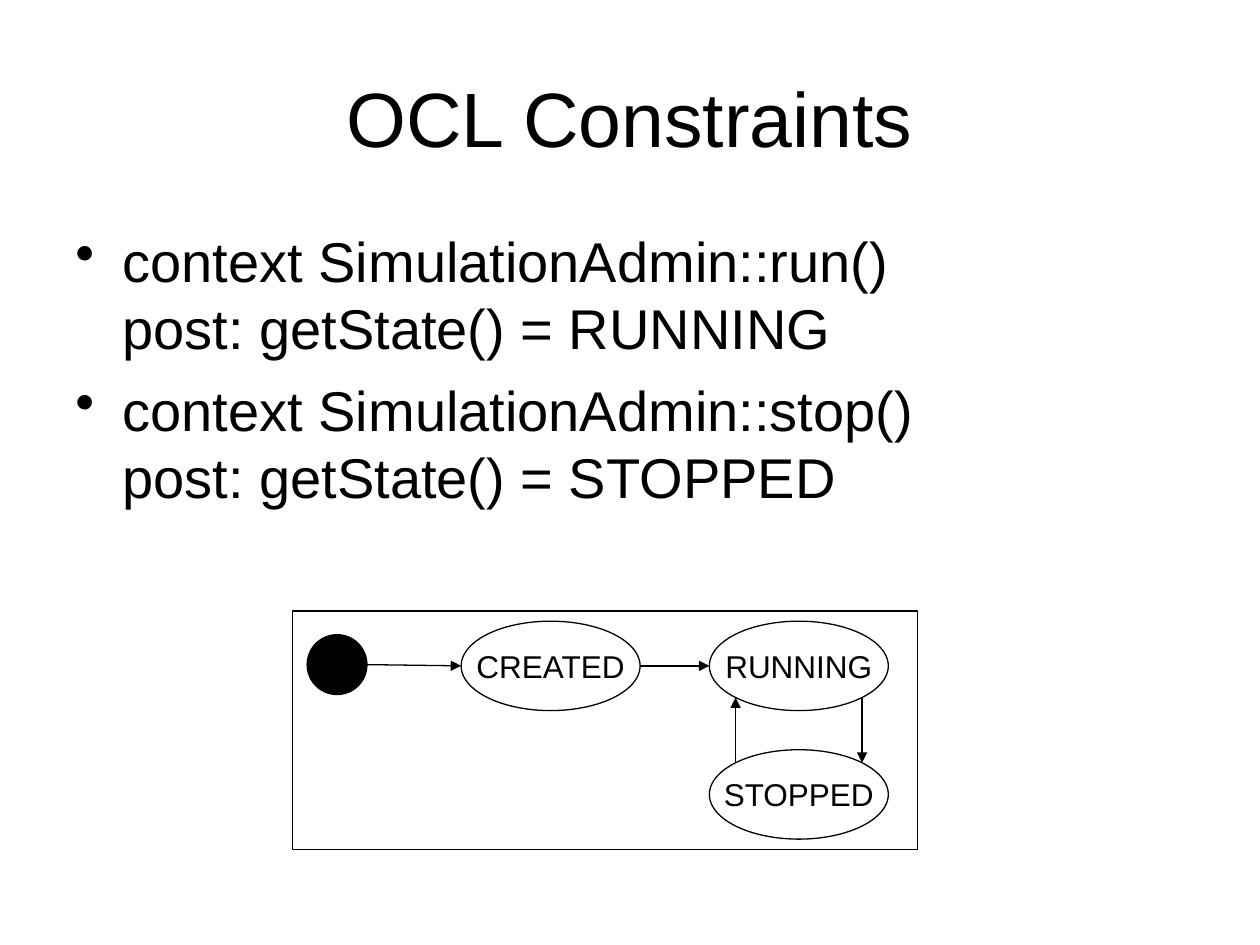
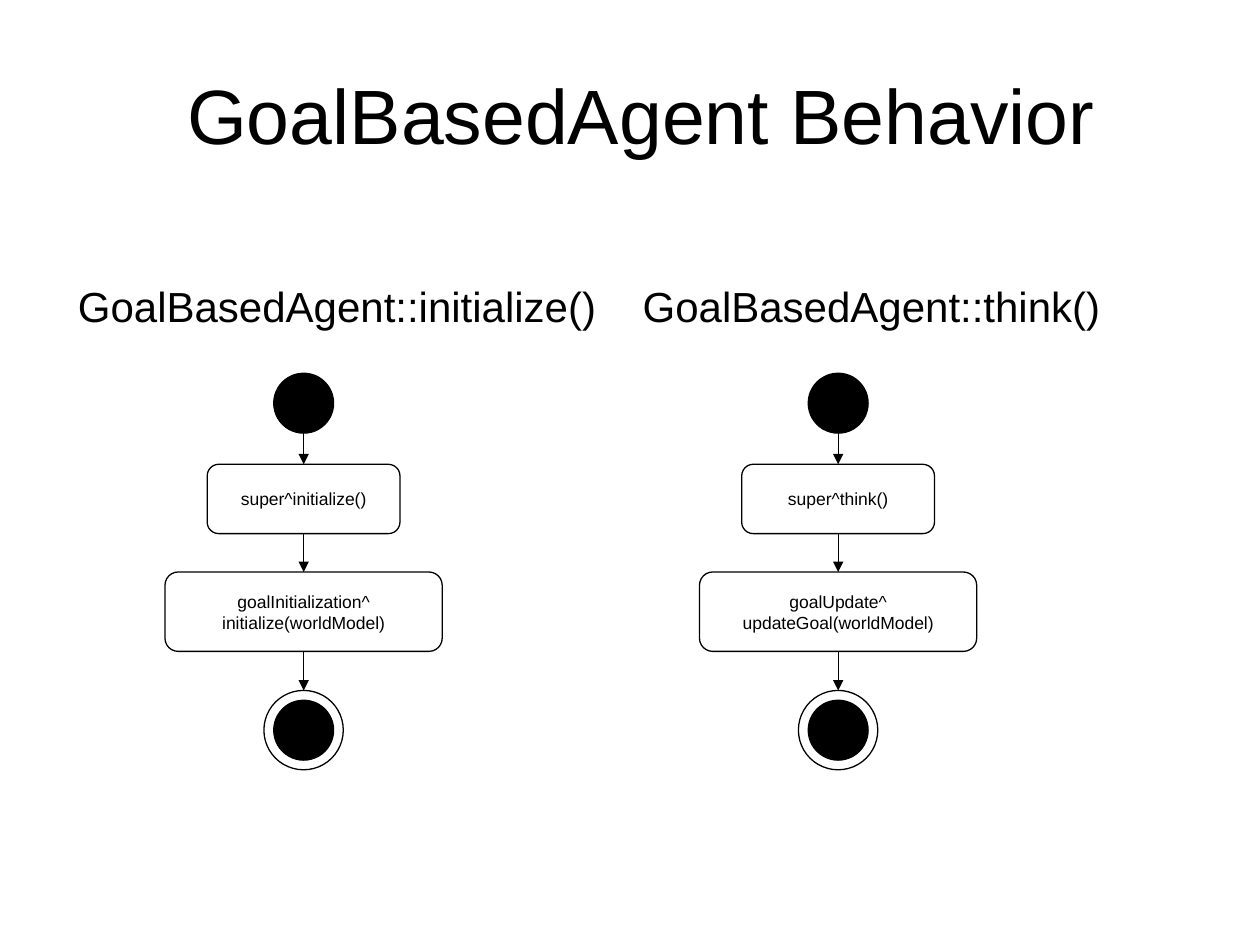
import pptx
import pptx.util
import pptx.dml.color
import pptx.enum.shapes
import pptx.enum.text
import pptx.oxml
import pptx.oxml.ns

BLACK = pptx.dml.color.RGBColor(0, 0, 0)
WHITE = pptx.dml.color.RGBColor(255, 255, 255)
FONT = "Arial"
KIND = pptx.enum.shapes.MSO_SHAPE
ALIGN = pptx.enum.text.PP_ALIGN
ANCHOR = pptx.enum.text.MSO_ANCHOR

WIDE, HIGH = pptx.util.Inches(10), pptx.util.Inches(7.5)
COL, ROW = WIDE / 100, HIGH / 75  # grid of 100 columns and 75 rows
DOT = 4.75
OVAL = (14.2, 7.1)
SLANT = 0.5 - 0.5 ** 1.5  # where an oval's diagonal points lie in its frame


def scale(x, y):
    """Turn columns and rows into lengths on the slide."""
    return round(x * COL), round(y * ROW)


def add_dot(para, hang):
    """Give a paragraph a hanging bullet."""
    props = para._p.get_or_add_pPr()
    props.set("marL", str(hang))
    props.set("indent", str(-hang))
    mark = pptx.oxml.parse_xml(
        f'<a:buChar {pptx.oxml.ns.nsdecls("a")} char="•"/>')
    props.append(mark)


def write(shape, text, size=18, align=ALIGN.CENTER, anchor=ANCHOR.MIDDLE,
          wrap=False, before=0, hang=None):
    frame = shape.text_frame
    frame.word_wrap = wrap
    frame.vertical_anchor = anchor
    for i, part in enumerate(text.split("\n")):
        para = frame.add_paragraph() if i else frame.paragraphs[0]
        para.text = part
        para.alignment = align
        para.space_before = pptx.util.Pt(before)
        for run in para.runs:
            run.font.name = FONT
            run.font.size = pptx.util.Pt(size)
            run.font.color.rgb = BLACK
        if hang:
            add_dot(para, hang)


def label(page, box, text, **form):
    x, y, w, h = box
    write(page.shapes.add_textbox(*scale(x, y), *scale(w, h)), text, **form)


def draw(page, kind, box, fill=WHITE, text=None, **form):
    x, y, w, h = box
    shape = page.shapes.add_shape(kind, *scale(x, y), *scale(w, h))
    shape.shadow.inherit = False
    shape.fill.solid()
    shape.fill.fore_color.rgb = fill
    shape.line.color.rgb = BLACK
    shape.line.width = pptx.util.Pt(0.75)
    if text:
        write(shape, text, **form)
    return shape


def arrow(page, start, end):
    """Draw a straight arrow between two points in slide lengths."""
    line = page.shapes.add_connector(
        pptx.enum.shapes.MSO_CONNECTOR.STRAIGHT, *start, *end)
    line.line.color.rgb = BLACK
    line.line.width = pptx.util.Pt(0.75)
    space = pptx.oxml.ns.nsdecls("a")
    line.line._get_or_add_ln().append(
        pptx.oxml.parse_xml(f'<a:tailEnd {space} type="triangle"/>'))
    line._element.spPr.append(pptx.oxml.parse_xml(f"<a:effectLst {space}/>"))
    return line


def spot(shape, x, y):
    """Find the point at the given shares of a shape's frame."""
    return (round(shape.left + x * shape.width),
            round(shape.top + y * shape.height))


def disc(page, x, y, size, fill=BLACK):
    """Draw a circle around a centre."""
    half = size / 2
    return draw(page, KIND.OVAL, (x - half, y - half, size, size), fill)


def title(page, text, x=5, y=3):
    label(page, (x, y, 90, 12.5), text, size=44, wrap=True)


def states(page, box):
    """Draw the state chart inside its frame."""
    x, y, w, h = box
    draw(page, KIND.RECTANGLE, box)
    start = disc(page, x + 3.55, y + 4.25, DOT)
    made, runs, stops = [
        draw(page, KIND.OVAL, (x + dx, y + dy, *OVAL), text=name)
        for name, dx, dy in (("CREATED", 13.4, 0.8), ("RUNNING", 33.1, 0.8),
                             ("STOPPED", 33.1, 11))]
    for left, right in ((start, made), (made, runs)):
        arrow(page, spot(left, 1, 0.5), spot(right, 0, 0.5))
    far = 1 - SLANT
    arrow(page, spot(runs, far, far), spot(stops, far, SLANT))
    arrow(page, spot(stops, SLANT, SLANT), spot(runs, SLANT, far))


def flow(page, box, head, wide, steps):
    """Draw a headed activity chart from start to end."""
    x, y, w, h = box
    mid = x + w / 2
    label(page, (mid + 2.65 - wide / 2, y, wide, 5), head, size=24,
          anchor=ANCHOR.TOP)
    parts = [disc(page, mid, y + 10.2, DOT)]
    sizes = ((15.3, 15.05, 5.5), (w, 23.6, 6.3))
    for text, (width, down, tall) in zip(steps, sizes):
        parts.append(draw(page, KIND.ROUNDED_RECTANGLE,
                          (mid - width / 2, y + down, width, tall),
                          text=text, size=10))
    base = y + h - 3.15
    parts.append(disc(page, mid, base, 6.3, WHITE))
    disc(page, mid, base, DOT)
    for above, below in zip(parts, parts[1:]):
        line = arrow(page, spot(above, 0.5, 1), spot(below, 0.5, 0))
        if above in parts[1:-1]:
            line.begin_connect(above, 2)
        if below in parts[1:-1]:
            line.end_connect(below, 0)


def rules(page):
    title(page, "OCL Constraints")
    text = ("context SimulationAdmin::run() \vpost: getState() = RUNNING\n"
            "context SimulationAdmin::stop()\vpost: getState() = STOPPED")
    label(page, (5, 17.5, 90, 49.5), text, size=32, align=ALIGN.LEFT,
          anchor=ANCHOR.TOP, wrap=True, before=8, hang=round(3.75 * COL))
    states(page, (23.2, 48.5, 49.6, 18.9))


def agent(page):
    title(page, "GoalBasedAgent Behavior", x=5.9, y=2.8)
    charts = (
        ("initialize()", 43.1, "goalInitialization^\ninitialize(worldModel)"),
        ("think()", 38.3, "goalUpdate^\nupdateGoal(worldModel)"))
    for i, (call, wide, goal) in enumerate(charts):
        flow(page, (13.1 + 42.42 * i, 21.8, 22, 39.3),
             f"GoalBasedAgent::{call}", wide, (f"super^{call}", goal))


def main():
    deck = pptx.Presentation()
    deck.slide_width, deck.slide_height = WIDE, HIGH
    for build in (rules, agent):
        build(deck.slides.add_slide(deck.slide_layouts[6]))
    deck.save("out.pptx")


if __name__ == "__main__":
    main()
